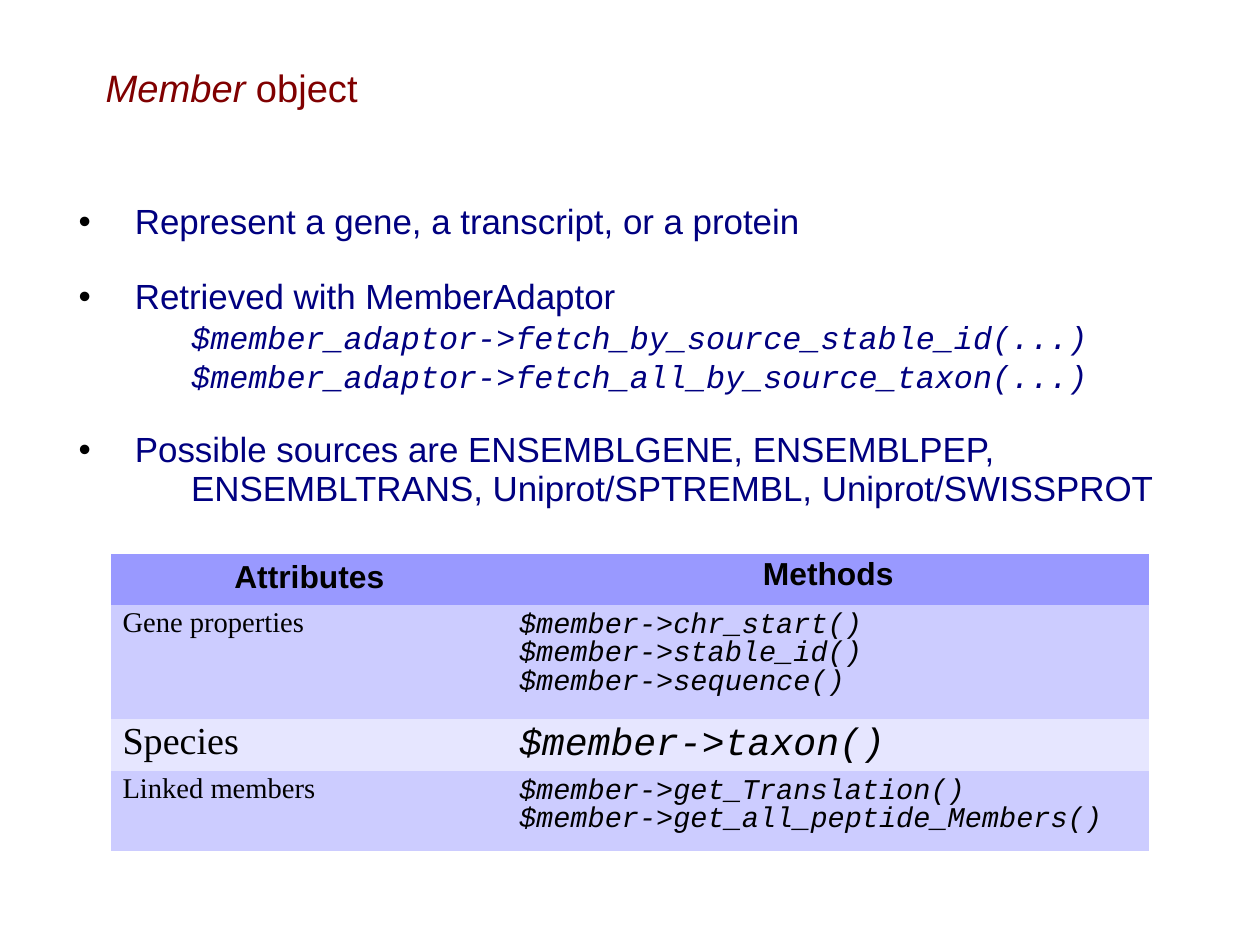
"""Build the slide that describes the Member object."""
from dataclasses import dataclass

import lxml.etree
import pptx
import pptx.dml.color
import pptx.enum.text
import pptx.oxml.ns
import pptx.util

Cm = pptx.util.Cm
Pt = pptx.util.Pt
ALIGN = pptx.enum.text.PP_ALIGN

COLORS = {
    "title": "800000",
    "body": "000080",
    "black": "000000",
    "header": "9999FF",
    "band": "CCCCFF",
    "light": "E6E6FF",
}
NO_GRID_STYLE = "{2D5ABB26-0587-4C30-8999-92F81FD0307C}"
TAB_STEP = 1.25


@dataclass(frozen=True)
class Style:
    font: str
    size: int
    color: str
    bold: bool = False
    italic: bool = False
    spacing: float = 0.88
    align: ALIGN = ALIGN.LEFT


@dataclass(frozen=True)
class BodyLine:
    text: str
    style: Style
    bullet: bool = False
    space_before: float = 0


@dataclass(frozen=True)
class TableRow:
    height: float
    fill: str
    attribute: str
    methods: tuple[str, ...]
    attribute_style: Style
    method_style: Style


TITLE = Style("Arial", 24, "title", spacing=0.87)
BODY = Style("Arial", 22, "body", spacing=0.92)
BODY_CODE = Style("Courier New", 20, "body", italic=True, spacing=0.92)
ATTRIBUTES_HEADER = Style("Arial", 20, "black", bold=True, spacing=1.0, align=ALIGN.CENTER)
METHODS_HEADER = Style("Arial", 20, "black", bold=True, align=ALIGN.CENTER)
LABEL = Style("Times New Roman", 18, "black")
LARGE_LABEL = Style("Times New Roman", 24, "black")
CODE = Style("Courier New", 18, "black", italic=True)
LARGE_CODE = Style("Courier New", 24, "black", italic=True)

BODY_LINES = [
    BodyLine("Represent a gene, a transcript, or a protein", BODY, bullet=True),
    BodyLine("Retrieved with MemberAdaptor", BODY, bullet=True, space_before=23),
    BodyLine("$member_adaptor->fetch_by_source_stable_id(...)", BODY_CODE, space_before=2.5),
    BodyLine("$member_adaptor->fetch_all_by_source_taxon(...)", BODY_CODE, space_before=2.5),
    BodyLine("Possible sources are ENSEMBLGENE, ENSEMBLPEP,", BODY, bullet=True, space_before=23),
    BodyLine("ENSEMBLTRANS, Uniprot/SPTREMBL, Uniprot/SWISSPROT", BODY),
]

TABLE_ROWS = [
    TableRow(1.12, "header", "Attributes", ("Methods",), ATTRIBUTES_HEADER, METHODS_HEADER),
    TableRow(2.54, "band", "Gene properties",
             ("$member->chr_start()", "$member->stable_id()", "$member->sequence()"), LABEL, CODE),
    TableRow(1.02, "light", "Species", ("$member->taxon()",), LARGE_LABEL, LARGE_CODE),
    TableRow(1.78, "band", "Linked members",
             ("$member->get_Translation()", "$member->get_all_peptide_Members()"), LABEL, CODE),
]
COLUMN_WIDTHS = (8.81, 14.25)


def rgb(name: str) -> pptx.dml.color.RGBColor:
    return pptx.dml.color.RGBColor.from_string(COLORS[name])


def apply_style(paragraph, style: Style) -> None:
    paragraph.alignment = style.align
    paragraph.line_spacing = style.spacing
    font = paragraph.font
    font.name, font.size = style.font, Pt(style.size)
    font.bold, font.italic = style.bold, style.italic
    font.color.rgb = rgb(style.color)


def indent(paragraph, bullet: bool) -> None:
    properties = paragraph._p.get_or_add_pPr()
    qualified = pptx.oxml.ns.qn
    properties.set("marL", str(Cm(TAB_STEP if bullet else 2 * TAB_STEP)))
    properties.set("indent", str(Cm(-TAB_STEP if bullet else 0)))
    if bullet:
        color = lxml.etree.SubElement(properties, qualified("a:buClr"))
        lxml.etree.SubElement(color, qualified("a:srgbClr"), val=COLORS["black"])
        lxml.etree.SubElement(properties, qualified("a:buFont"), typeface="Arial")
        lxml.etree.SubElement(properties, qualified("a:buChar"), char="•")
    else:
        lxml.etree.SubElement(properties, qualified("a:buNone"))


def add_paragraph(frame, index: int):
    return frame.add_paragraph() if index else frame.paragraphs[0]


def add_title(slide) -> None:
    frame = slide.shapes.add_textbox(Cm(2.1), Cm(0.5), Cm(23.75), Cm(3.02)).text_frame
    frame.word_wrap = True
    frame.vertical_anchor = pptx.enum.text.MSO_ANCHOR.MIDDLE
    paragraph = frame.paragraphs[0]
    apply_style(paragraph, TITLE)
    for text, italic in (("Member", True), (" object", False)):
        run = paragraph.add_run()
        run.text = text
        run.font.italic = italic


def add_body(slide, lines: list[BodyLine]) -> None:
    frame = slide.shapes.add_textbox(Cm(1.5), Cm(4.4), Cm(24.6), Cm(6.9)).text_frame
    frame.word_wrap = True
    for index, line in enumerate(lines):
        paragraph = add_paragraph(frame, index)
        paragraph.text = line.text
        indent(paragraph, line.bullet)
        apply_style(paragraph, line.style)
        if line.space_before:
            paragraph.space_before = Pt(line.space_before)


def fill_cell(cell, texts: tuple[str, ...], style: Style, fill: str) -> None:
    cell.fill.solid()
    cell.fill.fore_color.rgb = rgb(fill)
    for index, text in enumerate(texts):
        paragraph = add_paragraph(cell.text_frame, index)
        paragraph.text = text
        apply_style(paragraph, style)


def add_member_table(slide, rows: list[TableRow]) -> None:
    frame = slide.shapes.add_table(
        len(rows), len(COLUMN_WIDTHS), Cm(2.47), Cm(12.32),
        Cm(sum(COLUMN_WIDTHS)), Cm(sum(row.height for row in rows)))
    table = frame.table
    table._tbl.tblPr.find(pptx.oxml.ns.qn("a:tableStyleId")).text = NO_GRID_STYLE
    table.horz_banding = False
    for column, width in zip(table.columns, COLUMN_WIDTHS):
        column.width = Cm(width)
    for index, row in enumerate(rows):
        table.rows[index].height = Cm(row.height)
        fill_cell(table.cell(index, 0), (row.attribute,), row.attribute_style, row.fill)
        fill_cell(table.cell(index, 1), row.methods, row.method_style, row.fill)


def main() -> None:
    presentation = pptx.Presentation()
    presentation.slide_width, presentation.slide_height = Cm(28), Cm(21)
    slide = presentation.slides.add_slide(presentation.slide_layouts[6])
    add_title(slide)
    add_body(slide, BODY_LINES)
    add_member_table(slide, TABLE_ROWS)
    presentation.save("out.pptx")


if __name__ == "__main__":
    main()
